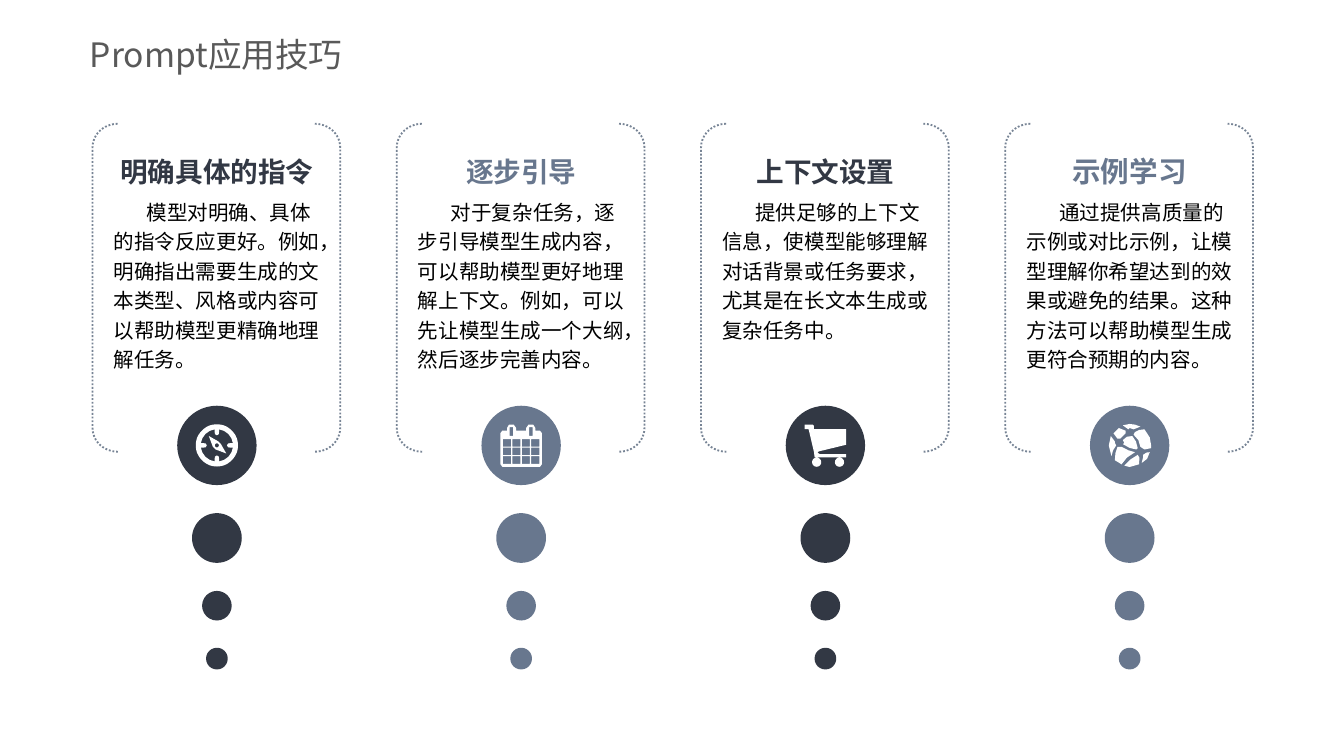
import math

from lxml import etree
from pptx import Presentation
from pptx import util as u
from pptx.dml.color import RGBColor
from pptx.enum import dml, shapes, text
from pptx.oxml.ns import qn

NAVY = RGBColor(0x32, 0x38, 0x44)
SLATE = RGBColor(0x68, 0x77, 0x8E)
OUTLINE = RGBColor(0x77, 0x84, 0x95)
GREY = RGBColor(0x59, 0x59, 0x59)
BLACK = RGBColor(0, 0, 0)
WHITE = RGBColor(0xFF, 0xFF, 0xFF)
FONT = "Noto Sans CJK SC"

prs = Presentation()
prs.slide_width, prs.slide_height = u.Cm(25.4), u.Cm(14.29)
s = prs.slides.add_slide(prs.slide_layouts[6])


def add_text(x, y, w, h, words, size, color, inset=0.4):
    tf = s.shapes.add_textbox(u.Cm(x), u.Cm(y), u.Cm(w), u.Cm(h)).text_frame
    tf.word_wrap = True
    tf.margin_left = tf.margin_right = u.Cm(inset)
    tf.margin_top = tf.margin_bottom = 0
    p = tf.paragraphs[0]
    r = p.add_run()
    r.text = words
    r.font.size, r.font.name = u.Pt(size), FONT
    r.font.color.rgb = color
    etree.SubElement(r.font._element, qn("a:ea")).set("typeface", FONT)
    return tf, p, r


def ring(radius, cx=0, cy=0):
    angles = [math.radians(a) for a in range(0, 360, 10)]
    return [(cx + radius * math.cos(a), cy + radius * math.sin(a)) for a in angles]


# Icon contours, in hundredths of an inch from the badge centre
dial = [(rad * math.cos(math.radians(a + turn)), rad * math.sin(math.radians(a + turn)))
        for turn in range(0, 360, 90)
        for rad, a in [(12, 8), (12, 26), (12, 45), (12, 64), (12, 82),
                       (8.5, 80), (7.5, 90), (8.5, 100)]]
compass = [ring(15.7), dial,
           [(-6, -7), (1, -3), (3, -1), (7, 6), (-1, 3), (-3, 1)], ring(1.5)]

calendar = [[(-15.5, -9), (-14, -11), (-10.5, -11), (-10.5, -13), (-9, -15.5),
             (-5.5, -15.5), (-3.8, -13), (-3.8, -11), (3.8, -11), (3.8, -13),
             (5.5, -15.5), (9, -15.5), (10.5, -13), (10.5, -11), (14, -11),
             (15.5, -9), (15.5, 14), (14, 16), (-14, 16), (-15.5, 14)]]
cells = [(-13.5 + 7 * i, -4.7 + 6.4 * j, 6, 5.6) for j in range(3) for i in range(4)]
slots = [(-8.5, -13.5, 2.6, 6.5), (5.9, -13.5, 2.6, 6.5)]
for x, y, w, h in cells + slots:
    calendar.append([(x, y), (x + w, y), (x + w, y + h), (x, y + h)])

cart = [ring(3.4, -6.5, 12.5), ring(3.4, 10.5, 12.5),
        [(-15.5, -15.5), (-9.5, -15.5), (-8.5, -14.5), (-8.5, -12), (15.5, -12),
         (15.5, -0.5), (-5, 4.5), (-6, 5.5), (-4, 6.5), (15.5, 6.5), (15.5, 9),
         (-8, 9), (-8.5, 5), (-12.5, -12), (-15.5, -12)]]

globe = [[(6, 7), (0.5, 10.5), (-4, 15), (0, 16), (7, 14), (7.3, 9)],
         [(11, -12), (7, -11.5), (4, -10), (3, -8), (6.5, -4), (8, 1), (11, 3),
          (16, 2), (16, 0), (15, -6)],
         [(4, 5), (-1, 3.6), (-6, 1), (-9, 1), (-10.5, 5.5), (-11, 11), (-6, 14),
          (-2, 9)],
         [(10, 7), (10, 9), (9, 13), (13, 10), (15, 5), (12.5, 5.3)],
         [(5, 3), (6, 2), (4.7, -3), (2, -7), (-2, -6.5), (-5, -4), (-4, -2),
          (-5, -1), (0, 1.8)],
         [(0, -13), (3, -12), (8, -14), (4, -15.5), (0, -16), (-5, -15), (-1, -12)],
         [(-11, -2), (-11, -3), (-14, -7), (-15.5, 0), (-13.5, 8), (-12.3, 3.6),
          (-10, 0)],
         [(-8, -5), (-7, -5), (-3, -9), (-3, -11), (-8, -13), (-12, -9), (-9, -5)]]

# Slide title
tf, p, r = add_text(1.7, 0.48, 5.92, 1.07, "Prompt应用技巧", 18, GREY, inset=0)
tf.vertical_anchor = text.MSO_ANCHOR.MIDDLE

columns = [
    ("明确具体的指令", 14.8, NAVY, compass,
     "模型对明确、具体的指令反应更好。例如，明确指出需要生成的文本类型、风格或内容可以帮助模型更精确地理解任务。"),
    ("逐步引导", 14.8, SLATE, calendar,
     "对于复杂任务，逐步引导模型生成内容，可以帮助模型更好地理解上下文。例如，可以先让模型生成一个大纲，然后逐步完善内容。"),
    ("上下文设置", 14.8, NAVY, cart,
     "提供足够的上下文信息，使模型能够理解对话背景或任务要求，尤其是在长文本生成或复杂任务中。"),
    ("示例学习", 15.3, SLATE, globe,
     "通过提供高质量的示例或对比示例，让模型理解你希望达到的效果或避免的结果。这种方法可以帮助模型生成更符合预期的内容。"),
]

for i, (heading, size, color, icon, body) in enumerate(columns):
    left = 1.75 + 5.75 * i
    center = left + 2.35

    # Dotted bracket frame
    for kind, x in [(shapes.MSO_SHAPE.LEFT_BRACKET, left),
                    (shapes.MSO_SHAPE.RIGHT_BRACKET, left + 4.2)]:
        sp = s.shapes.add_shape(kind, u.Cm(x), u.Cm(2.34), u.Cm(0.48), u.Cm(6.2))
        sp.adjustments[0] = 0.93
        sp.shadow.inherit = False
        sp.fill.background()
        sp.line.color.rgb, sp.line.width = OUTLINE, u.Pt(1)
        sp.line.dash_style = dml.MSO_LINE.ROUND_DOT

    # Heading and body
    tf, p, r = add_text(left, 2.92, 4.7, 0.51, heading, size, color)
    tf.word_wrap = False
    p.alignment = text.PP_ALIGN.CENTER
    r.font.bold = True
    tf, p, r = add_text(left, 3.68, 4.7, 3.48, body, 11, BLACK)
    p.line_spacing = 1.2
    p._p.get_or_add_pPr().set("indent", str(u.Cm(0.62)))

    # Icon badge and the shrinking dots below it
    for y, d in [(8.42, 1.5), (10.17, 0.94), (11.45, 0.56), (12.45, 0.41)]:
        sp = s.shapes.add_shape(shapes.MSO_SHAPE.OVAL, u.Cm(center - d / 2),
                                u.Cm(y - d / 2), u.Cm(d), u.Cm(d))
        sp.shadow.inherit = False
        sp.fill.solid()
        sp.fill.fore_color.rgb = color
        sp.line.fill.background()

    # Icon
    fb = None
    for contour in icon:
        points = [(10 * x, 10 * y) for x, y in contour]
        if fb is None:
            fb = s.shapes.build_freeform(*points[0], scale=u.Cm(2.54) / 1000)
        else:
            fb.move_to(*points[0])
        fb.add_line_segments(points[1:], close=True)
    sp = fb.convert_to_shape(u.Cm(center), u.Cm(8.42))
    sp.shadow.inherit = False
    sp.fill.solid()
    sp.fill.fore_color.rgb = WHITE
    sp.line.fill.background()

prs.save("out.pptx")
